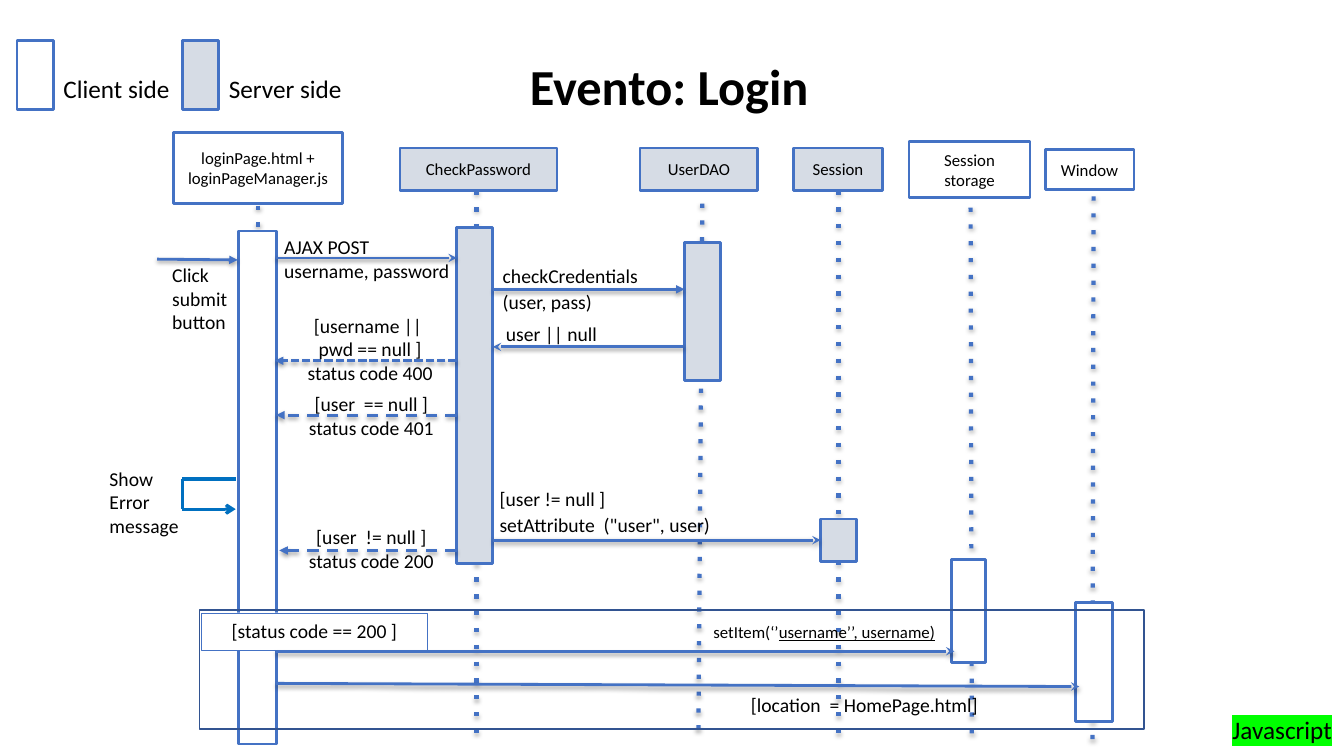
from dataclasses import dataclass

from lxml import etree
from pptx import Presentation, util as u
from pptx.dml.color import RGBColor
from pptx.enum import shapes, text
from pptx.oxml import ns


@dataclass(frozen=True)
class Theme:
    font: str = "Calibri"
    ink: str = "000000"
    client: str = "FFFFFF"
    server: str = "D6DCE5"
    line: str = "4472C4"
    frame: str = "325491"
    loop: str = "0070C0"
    highlight: str = "00FF00"
    title: int = 36
    legend: int = 18
    label: int = 14
    small: int = 12


LEFT, CENTER = text.PP_ALIGN.LEFT, text.PP_ALIGN.CENTER
TOP, MIDDLE = text.MSO_ANCHOR.TOP, text.MSO_ANCHOR.MIDDLE


def add_node(parent, tag, **attributes):
    return etree.SubElement(parent, ns.qn(tag), **attributes)


class Diagram:
    """Holds the style and the current slide."""

    def __init__(self, slide, theme):
        self.slide, self.theme = slide, theme

    def fill_text(self, frame, paragraphs, size, align=LEFT, anchor=TOP, after=0,
                  wide=True, wrap=True, bold=False, highlight=None):
        """Fill a text frame; a paragraph is a string or (plain, underlined)."""
        frame.word_wrap, frame.vertical_anchor = wrap, anchor
        frame.margin_left = frame.margin_right = u.Cm(0.3 if wide else 0.25)
        frame.margin_top = frame.margin_bottom = u.Cm(0.15 if wide else 0.13)
        for index, parts in enumerate(paragraphs):
            para = frame.add_paragraph() if index else frame.paragraphs[0]
            para.alignment, para.space_after = align, u.Pt(after)
            parts = (parts,) if isinstance(parts, str) else parts
            for position, part in enumerate(parts):
                for row, words in enumerate(part.split("\n")):
                    if row:
                        para.add_line_break()
                    span = para.add_run()
                    span.text = words
                    font = span.font
                    font.name, font.size, font.bold = self.theme.font, u.Pt(size), bold
                    font.color.rgb = RGBColor.from_string(self.theme.ink)
                    if position:
                        font.underline = True
                    if highlight:
                        mark = etree.Element(ns.qn("a:highlight"))
                        add_node(mark, "a:srgbClr", val=highlight)
                        span.font._element.find(ns.qn("a:solidFill")).addnext(mark)

    def title(self, words, area):
        holder = self.slide.shapes.title
        holder.left, holder.top, holder.width, holder.height = map(u.Cm, area)
        self.fill_text(holder.text_frame, [words], self.theme.title, CENTER, MIDDLE, bold=True)
        holder.text_frame.paragraphs[0].line_spacing = 0.9

    def label(self, area, paragraphs, size=None, **style):
        box = self.slide.shapes.add_textbox(*map(u.Cm, area))
        self.fill_text(box.text_frame, paragraphs, size or self.theme.label, **style)

    def box(self, area, fill=None, line=None, width=2, words=None, size=None, anchor=MIDDLE):
        box = self.slide.shapes.add_shape(shapes.MSO_SHAPE.RECTANGLE, *map(u.Cm, area))
        box.shadow.inherit = False
        if fill:
            box.fill.solid()
            box.fill.fore_color.rgb = RGBColor.from_string(fill)
        else:
            box.fill.background()
        box.line.color.rgb = RGBColor.from_string(line or self.theme.line)
        box.line.width = u.Pt(width)
        if words:
            self.fill_text(box.text_frame, [words], size or self.theme.small, CENTER, anchor)

    def line(self, start, end, color=None, width=2, dash=None, tip=None, shadow=38):
        """Draw a line; shadow is its opacity in percent, 0 for none."""
        line = self.slide.shapes.add_connector(
            shapes.MSO_CONNECTOR.STRAIGHT, *map(u.Cm, (*start, *end)))
        line.line.color.rgb = RGBColor.from_string(color or self.theme.line)
        line.line.width = u.Pt(width)
        properties = line._element.spPr
        stroke = properties.find(ns.qn("a:ln"))
        if dash:
            add_node(stroke, "a:prstDash", val=dash)
        if tip:
            add_node(stroke, "a:tailEnd", type=tip)
        effects = add_node(properties, "a:effectLst")
        if shadow:
            cast = add_node(effects, "a:outerShdw", blurRad=str(u.Pt(3.1)),
                            dist=str(u.Pt(1.7)), dir="5400000", rotWithShape="0")
            tone = add_node(cast, "a:srgbClr", val=self.theme.ink)
            add_node(tone, "a:alpha", val=str(shadow * 1000))


deck = Presentation()
deck.slide_width, deck.slide_height = u.Cm(33.87), u.Cm(19.05)
theme = Theme()
page = Diagram(deck.slides.add_slide(deck.slide_layouts[5]), theme)

# Title and legend
page.title("Evento: Login", (2.26, 0.41, 29.21, 3.68))
for index, (side, fill) in enumerate((("Client", theme.client), ("Server", theme.server))):
    shift = index * 4.17
    page.box((0.43 + shift, 1.02, 0.91, 1.75), fill)
    page.label((1.35 + shift, 1.73, 3.35, 1.02), [f"{side} side "], theme.legend, wide=False)
page.label((30.81, 17.86, 3.05, 1.02), ["Javascript"], theme.legend,
           wide=False, wrap=False, highlight=theme.highlight)

# Participants: name, fill, head, lifeline start and end, activation bar
participants = [
    ("loginPage.html + loginPageManager.js", theme.client, (4.37, 3.33, 4.27, 1.8),
     (6.5, 5.18), (6.5, 17.48), (6.02, 5.82, 0.94, 12.93)),
    ("CheckPassword", theme.server, (10.08, 3.73, 3.96, 1.07),
     (12.01, 4.8), (12.01, 18.47), (11.51, 5.74, 0.91, 8.46)),
    ("UserDAO", theme.server, (16.13, 3.73, 2.97, 1.07),
     (17.7, 5.13), (17.6, 18.47), (17.25, 6.12, 0.91, 3.48)),
    ("Session", theme.server, (19.99, 3.73, 2.26, 1.07),
     (21.13, 4.8), (21.13, 18.72), (20.68, 13.08, 0.91, 1.07)),
    ("Session storage", theme.client, (22.91, 3.56, 3.05, 1.42),
     (24.46, 5.23), (24.49, 18.72), (23.98, 14.1, 0.86, 2.59)),
    ("Window", theme.client, (26.34, 3.76, 2.24, 1.02),
     (27.56, 4.95), (27.53, 18.69), (27.1, 15.19, 0.94, 3)),
]
for name, fill, head, start, end, bar in participants:
    page.line(start, end, width=3, dash="dot", shadow=35)
    page.box(head, fill, words=name)
    page.box(bar, fill)

# Frame for the successful login
page.box((5.08, 15.44, 5.69, 0.94), theme.client, width=0.25,
         words="[status code == 200 ]", size=theme.label, anchor=TOP)
page.box((5.03, 15.37, 23.8, 3), line=theme.frame, width=1)

# Messages: start, end, tip, dash
messages = [
    ((3.96, 6.53), (5.99, 6.55), "triangle", None),
    ((6.96, 6.5), (11.51, 6.5), "stealth", None),
    ((12.42, 7.29), (17.25, 7.29), "triangle", None),
    ((17.22, 8.74), (12.42, 8.74), "stealth", None),
    ((11.51, 9.09), (6.93, 9.09), "triangle", "sysDash"),
    ((11.51, 10.46), (6.96, 10.46), "triangle", "dash"),
    ((12.42, 13.61), (20.68, 13.61), "stealth", None),
    ((11.51, 13.87), (7.04, 13.87), "triangle", "dash"),
    ((6.96, 16.41), (24.05, 16.41), "stealth", None),
    ((6.96, 17.22), (27.2, 17.3), "stealth", None),
]
for start, end, tip, dash in messages:
    page.line(start, end, tip=tip, dash=dash)

# Error loop back to the login page
corners = [(5.94, 12.07), (4.6, 12.07), (4.6, 12.83), (5.94, 12.83)]
for start, end, tip in zip(corners, corners[1:], (None, None, "arrow")):
    page.line(start, end, theme.loop, 2.25, tip=tip, shadow=0)

# Message labels
page.label((6.86, 5.77, 4.88, 1.73), ["AJAX POST username, password"])
page.label((12.37, 6.5, 4.83, 1.35), ["checkCredentials", "(user, pass)"], after=2)
page.label((12.45, 7.95, 3.43, 1.02), ["user || null"])
page.label((12.29, 12.12, 9.37, 1.6),
           ["[user != null ] ", 'setAttribute  ("user", user)'], after=2)
replies = [(7.26, 7.75, "[username || \npwd == null ]", 400),
           (7.29, 9.73, "[user  == null ]", 401),
           (7.29, 13.08, "[user  != null ]", 200)]
for left, top, guard, code in replies:
    page.label((left, top, 4.14, 1.3), [guard, f"status code {code}"], align=CENTER)
page.label((18.47, 17.3, 6.63, 0.84), ["[location  = HomePage.html]"], align=CENTER)
page.label((17.73, 15.54, 6.17, 0.76), [("setItem(‘’", "username’’, username)")],
           theme.small, wide=False, wrap=False)
page.label((4.09, 6.5, 2.57, 2.06), ["Click", "submit", "button"], wide=False)
page.label((2.51, 11.63, 2.31, 2.06), ["Show ", "Error ", "message"], wide=False)

deck.save("out.pptx")
